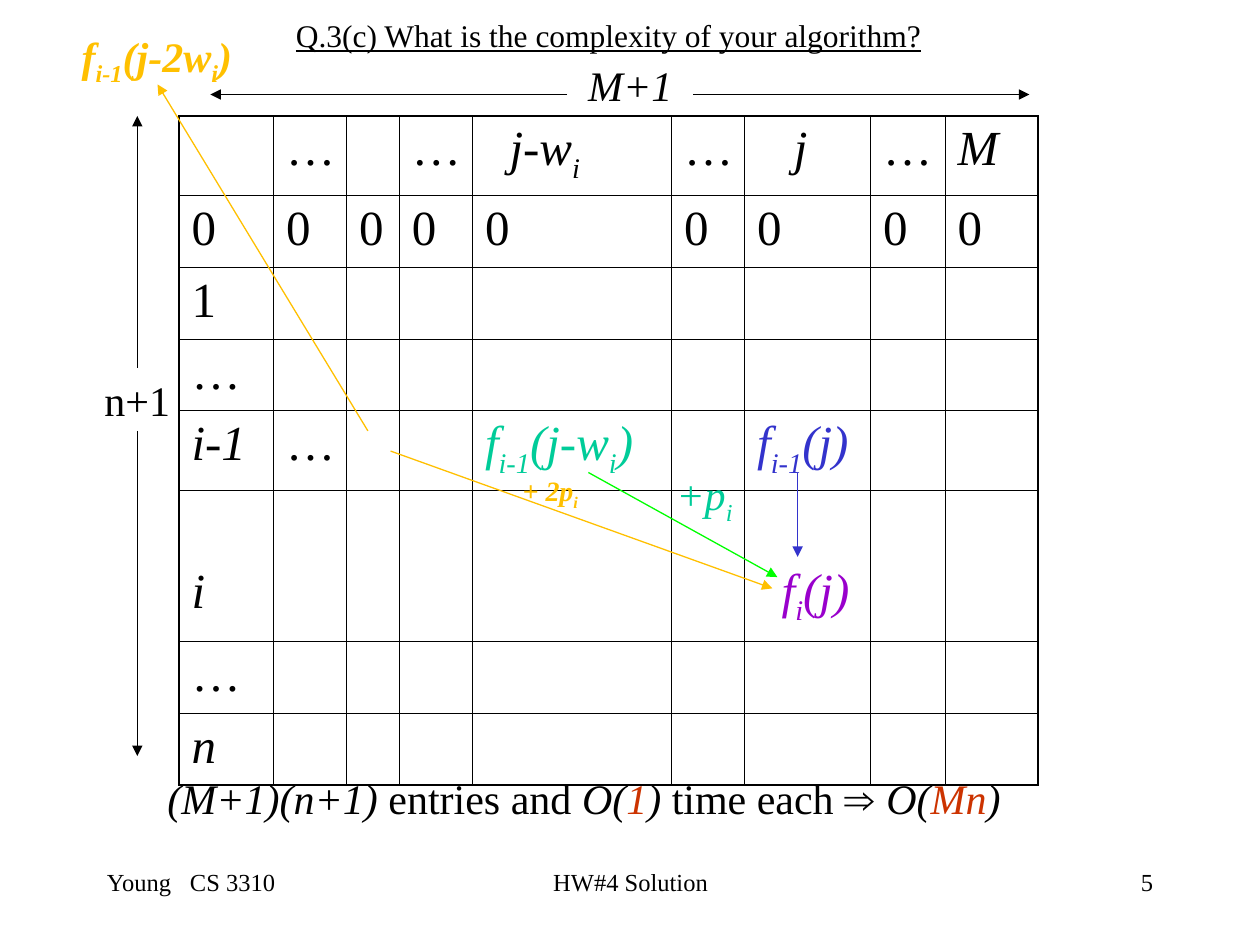
import pptx
import pptx.dml.color
import pptx.enum.shapes
import pptx.enum.text
import pptx.oxml.ns
import pptx.util
from lxml import etree

Inches, Pt = pptx.util.Inches, pptx.util.Pt
RGBColor = pptx.dml.color.RGBColor
ALIGN = pptx.enum.text.PP_ALIGN
STRAIGHT = pptx.enum.shapes.MSO_CONNECTOR.STRAIGHT
qn = pptx.oxml.ns.qn

BLACK = RGBColor(0x00, 0x00, 0x00)
TEAL = RGBColor(0x00, 0xCC, 0x99)
BLUE = RGBColor(0x33, 0x33, 0xCC)
PURPLE = RGBColor(0x99, 0x00, 0xCC)
GOLD = RGBColor(0xFF, 0xC0, 0x00)
GREEN = RGBColor(0x00, 0xFF, 0x00)
RED = RGBColor(0xCC, 0x33, 0x00)
FONT = "Times New Roman"
THIN, THICK = 0.45, 1.08

# Text between underscores is a subscript.
IT = dict(italic=True)
COLS = [0.75, 0.58, 0.42, 0.58, 1.58, 0.58, 1, 0.59, 0.74]
ROWS = [0.63, 0.57, 0.57, 0.57, 0.63, 1.2, 0.57, 0.57]
TABLE_AT = (1.42, 0.92)
TALL_ROW, TALL_ROW_MARGIN = 5, 0.59  # its text sits one line lower
CELLS = [
    {1: ("…", {}), 3: ("…", {}), 4: ("j-w_i", dict(italic=True, indent=14)),
     5: ("…", {}), 6: ("j", dict(italic=True, indent=21)), 7: ("…", {}), 8: ("M", IT)},
    {c: ("0", {}) for c in range(len(COLS))},
    {0: ("1", {})},
    {0: ("…", {})},
    {0: ("i-1", IT), 1: ("…", {}),
     4: ("f_i-1_(j-w_i_)", dict(italic=True, color=TEAL)),
     6: ("f_i-1_(j)", dict(italic=True, color=BLUE))},
    {0: ("i", IT), 6: ("f_i_(j)", dict(italic=True, color=PURPLE, indent=14))},
    {0: ("…", {})},
    {0: ("n", IT)},
]

FOOTERS = [  # left, width, text, format
    (0.75, 2.5, "Young\tCS 3310", dict(tab=0.66)),
    (3.42, 3.17, "HW#4 Solution", dict(align=ALIGN.CENTER)),
    (7.17, 2.08, "5", dict(align=ALIGN.RIGHT)),
]

RESULT = [
    ("(M+1)(n+1)", IT), (" entries and ", {}), ("O(", IT),
    ("1", dict(italic=True, color=RED)), (")", IT), (" time each ", {}),
    ("⇒ ", dict(font="Arial")), ("O(", IT),
    ("Mn", dict(italic=True, color=RED)), (")", IT),
]
LABELS = [  # box, text, format
    ((5.27, 3.67, 0.72, 0.56), "+p_i", dict(italic=True, color=TEAL)),
    ((4.57, 0.42, 0.87, 0.5), "M+1", IT),
    ((1.23, 6.08, 6.9, 0.5), RESULT, {}),
    ((2.25, 0.08, 5.34, 0.4), "Q.3(c) What is the complexity of your algorithm?",
     dict(size=18, underline=True)),
    ((0.55, 0.19, 1.45, 0.56), "f_i-1_(j-2w_i_)",
     dict(bold=True, italic=True, color=GOLD)),
    ((4.05, 3.71, 0.7, 0.41), "+ 2p_i",
     dict(size=16, bold=True, italic=True, color=GOLD)),
]
ROW_COUNT = ((0.73, 2.92, 0.72, 0.5), "n+1", {})

ARROWS = [  # from, to, colour
    ((4.67, 3.75), (6.17, 4.58), GREEN),
    ((6.33, 3.75), (6.33, 4.42), BLUE),
    ((5.5, 0.75), (8.17, 0.75), BLACK),
    ((4.5, 0.75), (1.67, 0.75), BLACK),
    ((2.92, 3.42), (1.25, 0.67), GOLD),
    ((3.1, 3.58), (6.13, 4.67), GOLD),
]
ROW_ARROWS = [(2, (1.09, 6)), (0, (1.09, 0.92))]  # side of the row count, end


def write(tf, text, align=None, before=None, indent=0, tab=None, **base):
    """Fill the first paragraph with a string or a list of (string, format)."""
    p = tf.paragraphs[0]
    p.alignment = align
    if before is not None:
        p.space_before = Pt(before)
    pPr = p._p.get_or_add_pPr()
    if indent:
        pPr.set("marL", str(Pt(indent)))
    if tab:
        tabs = etree.SubElement(pPr, qn("a:tabLst"))
        etree.SubElement(tabs, qn("a:tab"), pos=str(Inches(tab)), algn="l")
    for part, own in [(text, {})] if isinstance(text, str) else text:
        fmt = {"size": 24, "font": FONT, "color": BLACK, **base, **own}
        for i, piece in enumerate(part.split("_")):
            if not piece:
                continue
            r = p.add_run()
            r.text = piece
            r.font.size, r.font.name = Pt(fmt["size"]), fmt["font"]
            r.font.color.rgb = fmt["color"]
            r.font.bold, r.font.italic = fmt.get("bold"), fmt.get("italic")
            r.font.underline = fmt.get("underline")
            if i % 2:
                r._r.get_or_add_rPr().set("baseline", "-25000")


def add_text(s, box, text, wrap=False, **fmt):
    sp = s.shapes.add_textbox(*map(Inches, box))
    tf = sp.text_frame
    tf.word_wrap = wrap
    if not wrap:
        tf.auto_size = pptx.enum.text.MSO_AUTO_SIZE.SHAPE_TO_FIT_TEXT
    write(tf, text, **fmt)
    return sp


def add_arrow(s, start, end, color):
    line = s.shapes.add_connector(STRAIGHT, *map(Inches, (*start, *end)))
    line.line.color.rgb, line.line.width = color, Pt(0.75)
    etree.SubElement(line.line._get_or_add_ln(), qn("a:tailEnd"), type="triangle")
    etree.SubElement(line._element.spPr, qn("a:effectLst"))
    return line


def set_borders(cell, widths):
    tcPr = cell._tc.get_or_add_tcPr()
    for side, width in zip("LRTB", widths):
        ln = etree.SubElement(tcPr, qn("a:ln" + side), w=str(Pt(width)))
        fill = etree.SubElement(ln, qn("a:solidFill"))
        etree.SubElement(fill, qn("a:srgbClr"), val=str(BLACK))


def add_grid(s):
    size = (sum(COLS), sum(ROWS))
    table = s.shapes.add_table(len(ROWS), len(COLS),
                               *map(Inches, TABLE_AT + size)).table
    table.first_row = table.horz_banding = False
    for col, width in zip(table.columns, COLS):
        col.width = Inches(width)
    for y, (row, height) in enumerate(zip(table.rows, ROWS)):
        row.height = Inches(height)
        for x, cell in enumerate(row.cells):
            edges = (x == 0, x == len(COLS) - 1, y == 0, y == len(ROWS) - 1)
            set_borders(cell, [THICK if edge else THIN for edge in edges])
            cell.fill.background()
            if y == TALL_ROW:
                cell.margin_top = Inches(TALL_ROW_MARGIN)
            if x in CELLS[y]:
                text, fmt = CELLS[y][x]
                write(cell.text_frame, text, size=28, before=7, **fmt)


def main():
    prs = pptx.Presentation()
    prs.slide_width, prs.slide_height = Inches(10), Inches(7.5)
    s = prs.slides.add_slide(prs.slide_layouts[6])
    for left, width, text, fmt in FOOTERS:
        add_text(s, (left, 6.83, width, 0.5), text, wrap=True, size=14, **fmt)
    add_grid(s)
    for box, text, fmt in LABELS:
        add_text(s, box, text, **fmt)
    box, text, fmt = ROW_COUNT
    count = add_text(s, box, text, **fmt)
    for arrow in ARROWS:
        add_arrow(s, *arrow)
    for side, end in ROW_ARROWS:
        add_arrow(s, end, end, BLACK).begin_connect(count, side)
    prs.save("out.pptx")


if __name__ == "__main__":
    main()
